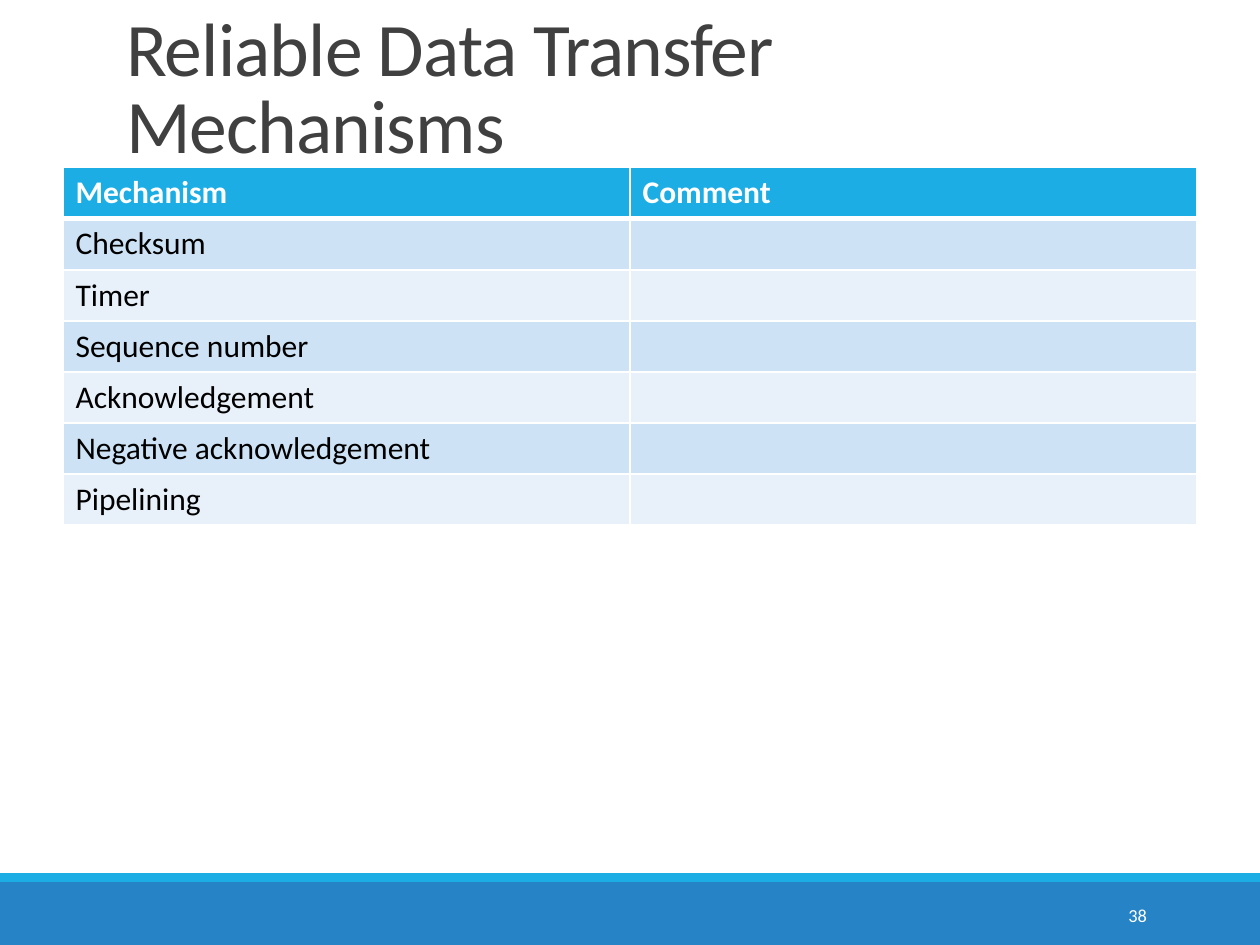
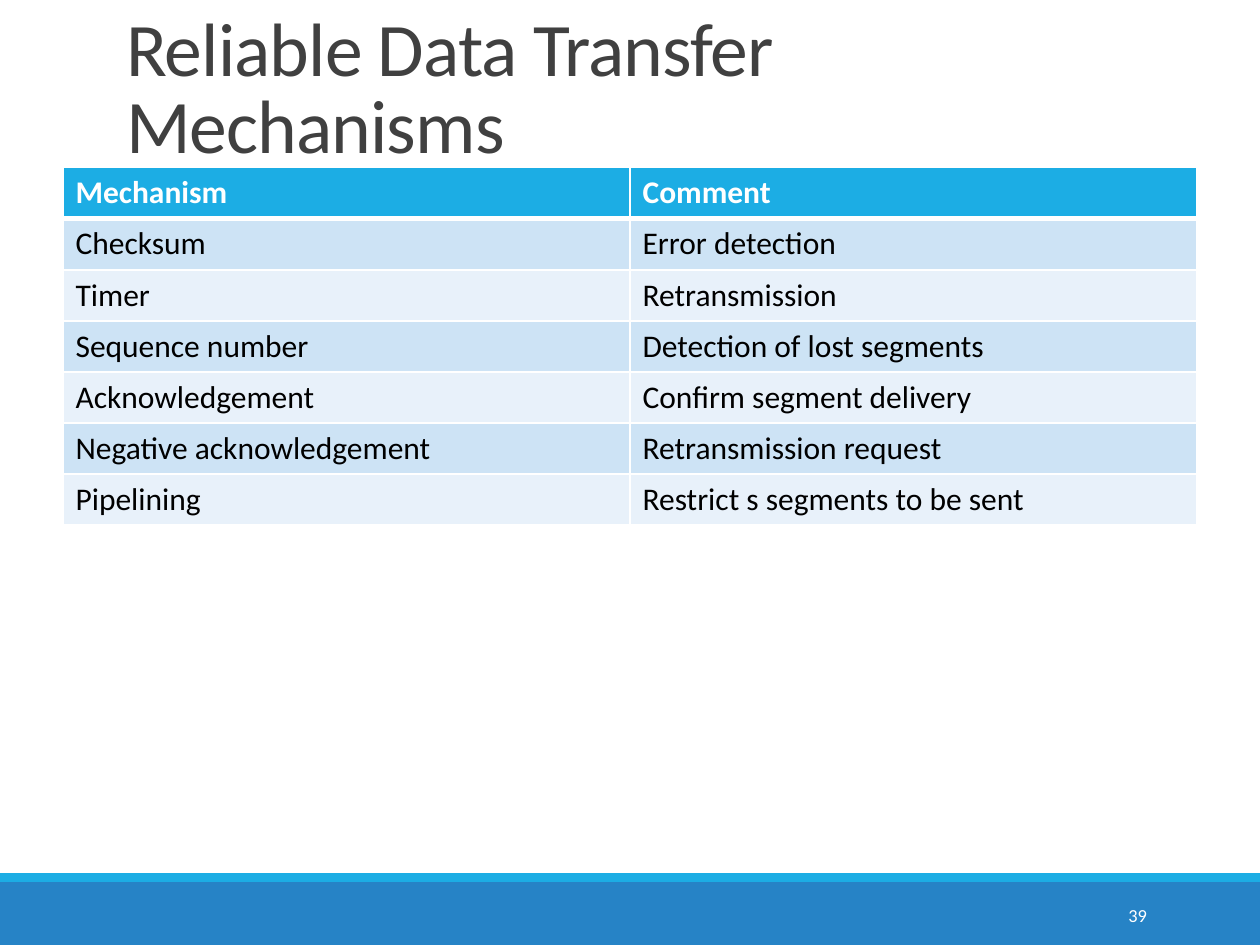
from lxml import etree
from pptx import Presentation
from pptx import util as u
from pptx.dml.color import RGBColor
from pptx.enum import shapes, text
from pptx.oxml import ns

TITLE = "Reliable Data Transfer Mechanisms"
HEADERS = ("Mechanism", "Comment")
MECHANISMS = [
    ("Checksum", "Error detection"),
    ("Timer", "Retransmission"),
    ("Sequence number", "Detection of lost segments"),
    ("Acknowledgement", "Confirm segment delivery"),
    ("Negative acknowledgement", "Retransmission request"),
    ("Pipelining", "Restrict s segments to be sent"),
]
SLIDES = [
    (38, [(mechanism, "") for mechanism, comment in MECHANISMS]),
    (39, MECHANISMS),
]

FONT = "Calibri"
COLORS = {
    "footer": "2683C6",
    "accent": "1CADE4",
    "title": "404040",
    "white": "FFFFFF",
    "black": "000000",
    "dark_row": "CDE3F5",
    "light_row": "E8F1FA",
}
BANDS = [("footer", 7, 0.5), ("accent", 6.93, 0.07)]
TITLE_BOX = (0.9, 0.31, 8.25, 1.08)
NUMBER_BOX = (8.12, 7.06, 1.08, 0.4)
TABLE_BOX = (0.5, 1.33, 9, 2.84)


def color(name):
    return RGBColor.from_string(COLORS[name])


def inches(box):
    return [u.Inches(length) for length in box]


def style(paragraph, size, color_name, bold=False):
    paragraph.font.name = FONT
    paragraph.font.size = u.Pt(size)
    paragraph.font.bold = bold
    paragraph.font.color.rgb = color(color_name)


def move_bands_to_layout(slide):
    for color_name, top, height in BANDS:
        band = slide.shapes.add_shape(
            shapes.MSO_SHAPE.RECTANGLE, *inches((0, top, 10, height)))
        band.shadow.inherit = False
        band.fill.solid()
        band.fill.fore_color.rgb = color(color_name)
        band.line.fill.background()
        slide.slide_layout.shapes.element.append(band.element)


def set_title(slide):
    title = slide.shapes.title
    title.left, title.top, title.width, title.height = inches(TITLE_BOX)
    frame = title.text_frame
    frame.text = TITLE
    frame.word_wrap = True
    frame.auto_size = text.MSO_AUTO_SIZE.NONE
    frame.vertical_anchor = text.MSO_ANCHOR.BOTTOM
    paragraph = frame.paragraphs[0]
    paragraph.alignment = text.PP_ALIGN.LEFT
    paragraph.line_spacing = 0.85
    style(paragraph, 43.2, "title")
    paragraph.runs[0].font._element.set("spc", "-50")


def add_number(slide, number):
    frame = slide.shapes.add_textbox(*inches(NUMBER_BOX)).text_frame
    frame.text = str(number)
    frame.word_wrap = True
    frame.vertical_anchor = text.MSO_ANCHOR.MIDDLE
    paragraph = frame.paragraphs[0]
    paragraph.alignment = text.PP_ALIGN.RIGHT
    style(paragraph, 10.5, "white")


def set_borders(cell, row):
    properties = cell._tc.get_or_add_tcPr()
    widths = {"lnL": 1, "lnR": 1, "lnT": 3 if row == 1 else 1, "lnB": 3 if row == 0 else 1}
    for position, (side, width) in enumerate(widths.items()):
        line = etree.Element(ns.qn("a:" + side), w=str(u.Pt(width)))
        fill = etree.SubElement(line, ns.qn("a:solidFill"))
        etree.SubElement(fill, ns.qn("a:srgbClr"), val=COLORS["white"])
        properties.insert(position, line)


def add_mechanism_table(slide, mechanisms):
    rows = [HEADERS, *mechanisms]
    table = slide.shapes.add_table(len(rows), len(HEADERS), *inches(TABLE_BOX)).table
    for row, values in enumerate(rows):
        header = row == 0
        fill_name = "accent" if header else "dark_row" if row % 2 else "light_row"
        for column, value in enumerate(values):
            cell = table.cell(row, column)
            cell.text = value
            cell.fill.solid()
            cell.fill.fore_color.rgb = color(fill_name)
            style(cell.text_frame.paragraphs[0], 18, "white" if header else "black", header)
            set_borders(cell, row)


def main():
    presentation = Presentation()
    presentation.slide_width = u.Inches(10)
    presentation.slide_height = u.Inches(7.5)
    layout = presentation.slide_layouts.get_by_name("Title Only")
    for index, (number, mechanisms) in enumerate(SLIDES):
        slide = presentation.slides.add_slide(layout)
        if index == 0:
            move_bands_to_layout(slide)
        set_title(slide)
        add_number(slide, number)
        add_mechanism_table(slide, mechanisms)
    presentation.save("out.pptx")


if __name__ == "__main__":
    main()
